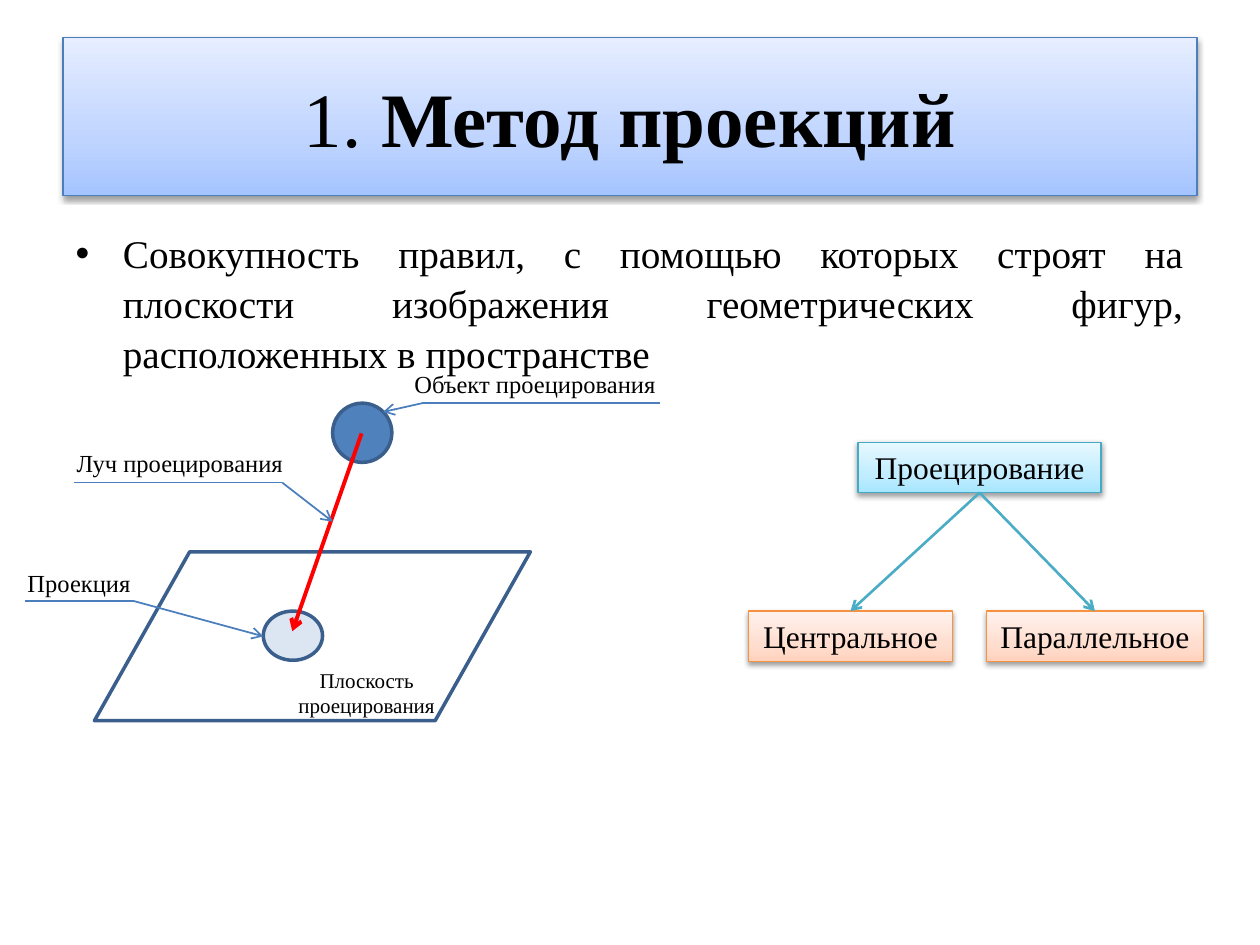
from copy import deepcopy
from lxml import etree
from pptx import Presentation, util as u
from pptx.dml.color import RGBColor
from pptx.enum import shapes, text
from pptx.oxml.ns import qn

SHAPE = shapes.MSO_SHAPE
ALIGN = text.PP_ALIGN
BLUE = ("A4C4FF", "BFD4FF", "E6EEFF")
CYAN = ("A7E6FF", "C1EDFF", "E7F8FF")
PEACH = ("FFD2BD", "FFDED0", "FFF2ED")


def color(code):
    return RGBColor.from_string(code)


class Board:
    font = "Times New Roman"
    ink = "000000"
    edge = "3A5F8C"
    lead = "4B7EBC"

    def __init__(self, slide):
        self.slide = slide

    def place(self, shape, box):
        shape.left, shape.top, shape.width, shape.height = map(u.Inches, box)

    def style(self, par, size, align):
        par.alignment = align
        for run in par.runs:
            run.font.name = self.font
            run.font.size = u.Pt(size)
            run.font.color.rgb = color(self.ink)

    def border(self, shape, code, width):
        shape.line.color.rgb = color(code)
        shape.line.width = u.Pt(width)

    def glow(self, shape, tones, code):
        shape.fill.gradient()
        stops = shape.element.spPr.find(".//" + qn("a:gsLst"))
        stops.insert(1, deepcopy(stops[0]))
        shape.fill.gradient_angle = 90
        for stop, tone, pos in zip(shape.fill.gradient_stops, tones, (0, 0.35, 1)):
            stop.color.rgb = color(tone)
            stop.position = pos
        self.border(shape, code, 0.75)
        shape.shadow.inherit = False
        effect = shape.element.spPr.find(qn("a:effectLst"))
        shade = etree.SubElement(effect, qn("a:outerShdw"), blurRad="40000",
                                 dist="20000", dir="5400000", rotWithShape="0")
        tint = etree.SubElement(shade, qn("a:srgbClr"), val="000000")
        etree.SubElement(tint, qn("a:alpha"), val="38000")

    def title(self, lead, main, box):
        shape = self.slide.shapes.title
        self.place(shape, box)
        self.glow(shape, BLUE, self.lead)
        par = shape.text_frame.paragraphs[0]
        par.text = lead
        bold = par.add_run()
        bold.text = main
        bold.font.bold = True
        self.style(par, 44, ALIGN.CENTER)

    def body(self, words, box):
        shape = self.slide.placeholders[1]
        self.place(shape, box)
        frame = shape.text_frame
        frame.text = words
        frame.auto_size = text.MSO_AUTO_SIZE.NONE
        par = frame.paragraphs[0]
        par.line_spacing = 1.06
        self.style(par, 22.4, ALIGN.JUSTIFY)

    def figure(self, kind, box, fill=None):
        shape = self.slide.shapes.add_shape(kind, *map(u.Inches, box))
        shape.shadow.inherit = False
        if fill:
            shape.fill.solid()
            shape.fill.fore_color.rgb = color(fill)
        else:
            shape.fill.background()
        self.border(shape, self.edge, 2)
        return shape

    def label(self, words, box, size=14, align=ALIGN.LEFT, wrap=False):
        frame = self.slide.shapes.add_textbox(*map(u.Inches, box)).text_frame
        frame.text = words
        frame.word_wrap = wrap
        frame.auto_size = text.MSO_AUTO_SIZE.SHAPE_TO_FIT_TEXT
        self.style(frame.paragraphs[0], size, align)

    def node(self, words, box, tones, code):
        shape = self.slide.shapes.add_shape(SHAPE.RECTANGLE, *map(u.Inches, box))
        self.glow(shape, tones, code)
        frame = shape.text_frame
        frame.text = words
        frame.word_wrap = False
        frame.auto_size = text.MSO_AUTO_SIZE.SHAPE_TO_FIT_TEXT
        self.style(frame.paragraphs[0], 18, ALIGN.CENTER)
        return shape

    def link(self, start, end, code=lead, width=1, arrow=True):
        line = self.slide.shapes.add_connector(
            shapes.MSO_CONNECTOR.STRAIGHT, *map(u.Inches, start + end))
        self.border(line, code, width)
        props = line.element.spPr
        if arrow:
            etree.SubElement(props.find(qn("a:ln")), qn("a:tailEnd"), type="arrow")
        etree.SubElement(props, qn("a:effectLst"))
        return line

    def branch(self, root, leaf):
        line = self.link((0, 0), (1, 1), "4BACC6", 1.5)
        line.begin_connect(root, 2)
        line.end_connect(leaf, 0)


def main():
    deck = Presentation()
    deck.slide_width, deck.slide_height = u.Inches(10), u.Inches(7.5)
    board = Board(deck.slides.add_slide(deck.slide_layouts[1]))

    board.title("1. ", "Метод проекций", (0.5, 0.3, 9, 1.25))
    board.body("Совокупность правил, с помощью которых строят на плоскости "
               "изображения геометрических фигур, расположенных в пространстве",
               (0.5, 1.75, 9, 1.06))

    plane = board.figure(SHAPE.PARALLELOGRAM, (0.75, 4.38, 3.46, 1.34))
    plane.adjustments[0] = 0.564
    board.figure(SHAPE.OVAL, (2.09, 4.85, 0.47, 0.39), "DCE6F2")
    board.figure(SHAPE.OVAL, (2.64, 3.2, 0.47, 0.47), "4F81BD")
    board.link((2.87, 3.44), (2.32, 5.01), "FF0000", 2.25)
    board.label("Плоскость проецирования", (2.24, 5.25, 1.34, 0.5),
                12, ALIGN.CENTER, True)

    notes = (
        ("Объект проецирования", (3.19, 2.88, 2.13, 0.34),
         (5.24, 3.2), (3.35, 3.2), (3.04, 3.27)),
        ("Луч проецирования", (0.51, 3.51, 1.87, 0.34),
         (0.59, 3.83), (2.24, 3.83), (2.64, 4.14)),
        ("Проекция", (0.12, 4.46, 1.03, 0.34),
         (0.2, 4.77), (1.06, 4.77), (2.09, 5.05)),
    )
    for words, box, far, bend, tip in notes:
        board.label(words, box)
        board.link(far, bend, arrow=False)
        board.link(bend, tip)

    root = board.node("Проецирование", (6.81, 3.51, 1.93, 0.4), CYAN, "46AAC5")
    for words, left, width in (("Центральное", 5.94, 1.62),
                               ("Параллельное", 7.83, 1.72)):
        leaf = board.node(words, (left, 4.85, width, 0.4), PEACH, "F69240")
        board.branch(root, leaf)

    deck.save("out.pptx")


if __name__ == "__main__":
    main()
